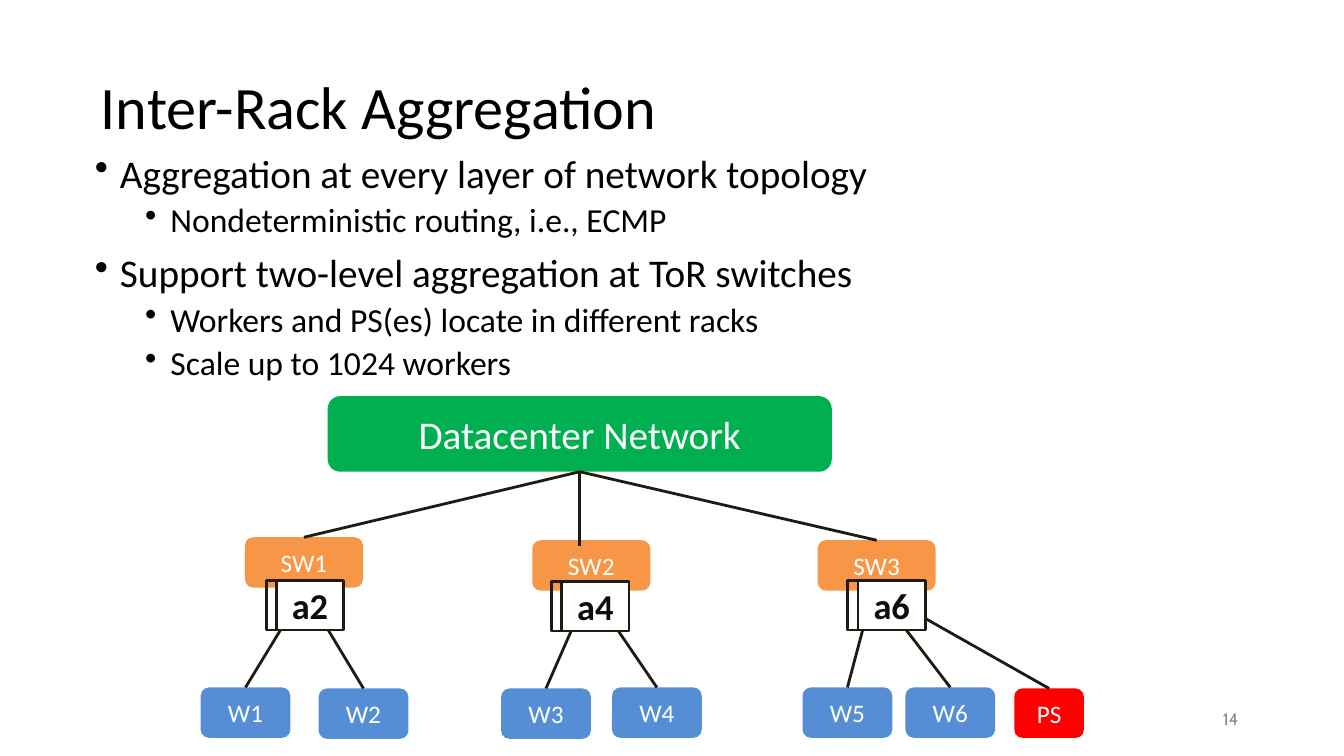
from typing import NamedTuple

from lxml import etree
from pptx import Presentation
from pptx.dml.color import RGBColor
from pptx.enum import shapes, text
from pptx.oxml import ns
from pptx.util import Inches, Pt

INK = "1E1C11"
WHITE = "FFFFFF"
BLACK = "000000"
ORANGE = "F79646"
BLUE = "558ED5"
LINE_WIDTH = 2
NODE_HEIGHT = 0.5
SWITCH_WIDTH = 1.17
WORKER_WIDTH = 0.89
CHUNK_HEIGHT = 0.49


class Node(NamedTuple):
    label: str
    left: float
    top: float
    width: float
    height: float
    fill: str
    size: int = 18

    @property
    def top_center(self) -> tuple[float, float]:
        return self.left + self.width / 2, self.top

    @property
    def bottom_center(self) -> tuple[float, float]:
        return self.left + self.width / 2, self.top + self.height


class Link(NamedTuple):
    start: tuple[float, float]
    end: tuple[float, float]


class Chunk(NamedTuple):
    label: str
    left: float
    top: float


class Bullet(NamedTuple):
    wording: str
    level: int
    space_before: float


def switch(label: str, left: float, top: float) -> Node:
    return Node(label, left, top, SWITCH_WIDTH, NODE_HEIGHT, ORANGE)


def worker(label: str, left: float, top: float = 6.82) -> Node:
    return Node(label, left, top, WORKER_WIDTH, NODE_HEIGHT, BLUE)


NETWORK = Node("Datacenter Network", 3.25, 3.93, 5, 0.75, "00B050", 28)
SWITCHES = [switch("SW1", 2.43, 5.33), switch("SW2", 5.28, 5.36), switch("SW3", 8.11, 5.36)]
WORKERS = [
    worker("W1", 1.99), worker("W2", 3.16, 6.83), worker("W3", 4.97, 6.83),
    worker("W4", 6.07), worker("W5", 7.96), worker("W6", 8.98),
]
SERVER = Node("PS", 10.06, 6.83, 0.69, 0.49, "FF0000")
UPLINK_ENDS = [SWITCHES[0].top_center, (5.75, 5.42), SWITCHES[2].top_center]
DOWNLINK_STARTS = [3.02, 3.02, 5.84, 5.86, 8.66, 8.69, 8.69]
LINKS = [Link(NETWORK.bottom_center, end) for end in UPLINK_ENDS] + [
    Link((x, 5.86), leaf.top_center)
    for x, leaf in zip(DOWNLINK_STARTS, [*WORKERS, SERVER])
]
CHUNKS = [Chunk("a2", 2.64, 5.76), Chunk("a4", 5.47, 5.77), Chunk("a6", 8.41, 5.76)]
BULLETS = [
    Bullet("Aggregation at every layer of network topology", 0, 3.7),
    Bullet("Nondeterministic routing, i.e., ECMP", 1, 2.3),
    Bullet("Support two-level aggregation at ToR switches", 0, 6.3),
    Bullet("Workers and PS(es) locate in different racks", 1, 2.3),
    Bullet("Scale up to 1024 workers", 1, 2.3),
]


def rgb(color: str) -> RGBColor:
    return RGBColor.from_string(color)


def write(paragraph, wording: str, size: float, color: str,
          bold: bool = False, family: str = "Calibri") -> None:
    paragraph.text = wording
    font = paragraph.font
    font.name, font.size, font.bold = family, Pt(size), bold
    font.color.rgb = rgb(color)


def add_text_frame(slide, left: float, top: float, width: float, height: float,
                   inset_top: float):
    frame = slide.shapes.add_textbox(*map(Inches, (left, top, width, height))).text_frame
    frame.word_wrap = True
    frame.margin_left = frame.margin_right = frame.margin_bottom = 0
    frame.margin_top = Inches(inset_top)
    return frame


def add_box(slide, kind, left: float, top: float, width: float, height: float,
            fill: str | None, line: str | None):
    box = slide.shapes.add_shape(kind, *map(Inches, (left, top, width, height)))
    box.shadow.inherit = False
    if fill:
        box.fill.solid()
        box.fill.fore_color.rgb = rgb(fill)
    else:
        box.fill.background()
    if line:
        box.line.color.rgb = rgb(line)
        box.line.width = Pt(LINE_WIDTH)
    else:
        box.line.fill.background()
    return box


def add_label(box, label: str, size: float, color: str, bold: bool = False) -> None:
    frame = box.text_frame
    frame.vertical_anchor = text.MSO_ANCHOR.MIDDLE
    frame.paragraphs[0].alignment = text.PP_ALIGN.CENTER
    write(frame.paragraphs[0], label, size, color, bold)


def add_node(slide, node: Node) -> None:
    box = add_box(slide, shapes.MSO_SHAPE.ROUNDED_RECTANGLE, node.left, node.top,
                  node.width, node.height, node.fill, None)
    add_label(box, node.label, node.size, WHITE)


def add_link(slide, link: Link) -> None:
    line = slide.shapes.add_connector(
        shapes.MSO_CONNECTOR.STRAIGHT, *map(Inches, (*link.start, *link.end)))
    line.line.color.rgb = rgb(INK)
    line.line.width = Pt(LINE_WIDTH)
    etree.SubElement(line._element.spPr, ns.qn("a:effectLst"))


def add_chunk(slide, chunk: Chunk) -> None:
    rectangle = shapes.MSO_SHAPE.RECTANGLE
    add_box(slide, rectangle, chunk.left, chunk.top, 0.56, CHUNK_HEIGHT, None, INK)
    front = add_box(slide, rectangle, chunk.left + 0.1, chunk.top, 0.67, CHUNK_HEIGHT, WHITE, INK)
    add_label(front, chunk.label, 26, "0D0D0D", bold=True)


def add_bullets(slide, bullets: list[Bullet]) -> None:
    frame = add_text_frame(slide, 0.93, 1.43, 7.69, 2.81, 0.05)
    for index, bullet in enumerate(bullets):
        paragraph = frame.add_paragraph() if index else frame.paragraphs[0]
        write(paragraph, bullet.wording, 28 - 4 * bullet.level, BLACK)
        paragraph.level = bullet.level
        paragraph.space_before = Pt(bullet.space_before)
        properties = paragraph._p.get_or_add_pPr()
        properties.set("marL", str(Inches(0.26 + 0.5 * bullet.level)))
        properties.set("indent", str(Inches(-0.25)))
        mark = etree.Element(ns.qn("a:buChar"), char="•")
        properties.find(ns.qn("a:defRPr")).addprevious(mark)


def main() -> None:
    deck = Presentation()
    deck.slide_width, deck.slide_height = Inches(13.33), Inches(7.5)
    slide = deck.slides.add_slide(deck.slide_layouts[6])

    title = add_text_frame(slide, 1, 0.67, 5.61, 0.75, 0.02).paragraphs[0]
    write(title, "Inter-Rack Aggregation", 43, BLACK)
    title.space_before = Pt(1.1)
    page_number = add_text_frame(slide, 12.13, 7.02, 0.2, 0.23, 0.01).paragraphs[0]
    write(page_number, "14", 12, "898989", family="Cabin")
    page_number.space_before = Pt(1)

    for node in [NETWORK, *SWITCHES, *WORKERS, SERVER]:
        add_node(slide, node)
    for link in LINKS:
        add_link(slide, link)
    for chunk in CHUNKS:
        add_chunk(slide, chunk)
    add_bullets(slide, BULLETS)

    deck.save("out.pptx")


if __name__ == "__main__":
    main()
